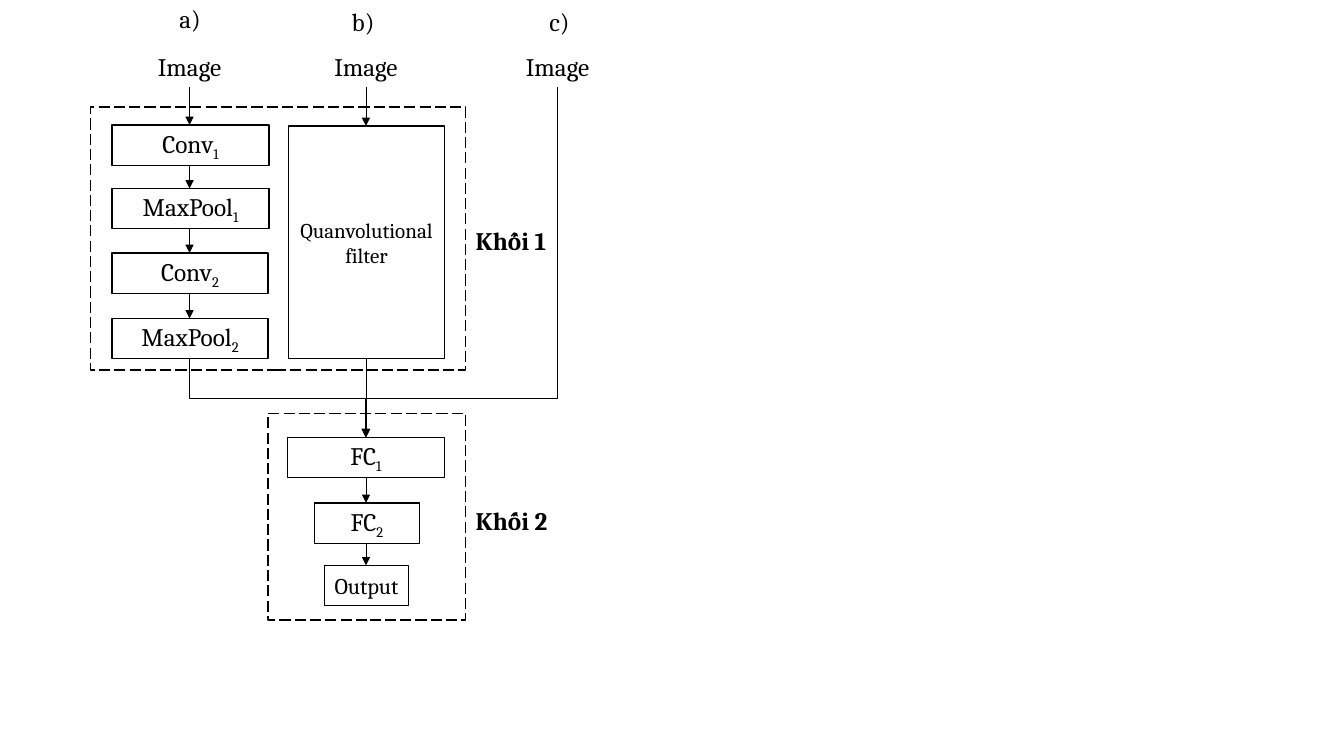
from lxml import etree
from pptx import Presentation
from pptx.dml.color import RGBColor
from pptx.enum import dml, shapes, text
from pptx.oxml import ns
from pptx.util import Inches, Pt

COLORS = {"ink": "000000"}
INK = RGBColor.from_string(COLORS["ink"])
FONT = "Cambria"
ROW = 0.4
COL_A, COL_B, COL_C = 1.88, 3.63, 5.53

deck = Presentation()
deck.slide_width, deck.slide_height = Inches(13.33), Inches(7.5)
page = deck.slides.add_slide(deck.slide_layouts[6])


def add_box(left, top, width, height, words="", subscript="", size=18, bold=False,
            outline=True, dashed=False, align=text.PP_ALIGN.CENTER, anchor=text.MSO_ANCHOR.MIDDLE):
    place = [Inches(length) for length in (left, top, width, height)]
    if outline:
        box = page.shapes.add_shape(shapes.MSO_SHAPE.RECTANGLE, *place)
        box.shadow.inherit = False
        box.fill.background()
        box.line.color.rgb = INK
        box.line.width = Pt(1)
        if dashed:
            box.line.dash_style = dml.MSO_LINE.LONG_DASH
    else:
        box = page.shapes.add_textbox(*place)
    if not words:
        return
    frame = box.text_frame
    frame.word_wrap = True
    frame.vertical_anchor = anchor
    if outline:
        frame.margin_left = frame.margin_right = Inches(0.05)
    para = frame.paragraphs[0]
    para.alignment = align
    para.font.name, para.font.size, para.font.bold = FONT, Pt(size), bold
    para.font.color.rgb = INK
    para.add_run().text = words
    if subscript:
        span = para.add_run()
        span.text = subscript
        span.font._element.set("baseline", "-25000")


def add_arrow(kind, *ends):
    arrow = page.shapes.add_connector(kind, *[Inches(length) for length in ends])
    arrow.line.color.rgb = INK
    arrow.line.width = Pt(0.5)
    etree.SubElement(arrow.line._get_or_add_ln(), ns.qn("a:tailEnd"), type="triangle")
    etree.SubElement(arrow.element.spPr, ns.qn("a:effectLst"))
    return arrow


for left, top, width, height in [(0.9, 1.06, 3.72, 2.61), (2.66, 4.1, 1.96, 2.05)]:
    add_box(left, top, width, height, dashed=True)

for left, top, width, label in [(1.68, -0.02, 0.45, "a)"), (3.39, 0.01, 0.49, "b)"), (5.35, 0.01, 0.68, "c)")]:
    add_box(left, top, width, ROW, label, outline=False,
            align=text.PP_ALIGN.LEFT, anchor=text.MSO_ANCHOR.TOP)

for center in (COL_A, COL_B, COL_C):
    add_box(center - 0.78, 0.46, 1.56, ROW, "Image", outline=False)

layers = [
    (1.11, 1.24, 1.56, "Conv", "1", 18),
    (1.11, 1.87, 1.56, "MaxPool", "1", 18),
    (1.11, 2.51, 1.55, "Conv", "2", 18),
    (1.11, 3.16, 1.55, "MaxPool", "2", 18),
    (2.85, 4.34, 1.56, "FC", "1", 18),
    (3.12, 4.99, 1.04, "FC", "2", 18),
    (3.22, 5.61, 0.83, "Output", "", 16),
]
for left, top, width, name, subscript, size in layers:
    add_box(left, top, width, ROW, name, subscript, size)
add_box(2.86, 1.25, 1.55, 2.31, "Quanvolutional filter", size=15)

for top, label in [(2.19, "Khối 1"), (4.96, "Khối 2")]:
    add_box(4.62, top, 1.49, ROW, label, bold=True, outline=False, align=text.PP_ALIGN.LEFT)

steps = [
    (COL_A, 0.86, 1.24), (COL_A, 1.64, 1.87), (COL_A, 2.27, 2.51), (COL_A, 2.91, 3.16),
    (COL_B, 0.86, 1.25), (COL_B, 3.56, 4.34), (COL_B, 4.74, 4.99), (COL_B, 5.39, 5.61),
]
for center, start, end in steps:
    add_arrow(shapes.MSO_CONNECTOR.STRAIGHT, center, start, center, end)

bends = [
    ((3.14, 3.07, 2.36, 4.82), 270, 0.51),
    ((2.84, 1.65, 6.32, 3.55), 90, 0.89),
]
for ends, turn, bend in bends:
    elbow = add_arrow(shapes.MSO_CONNECTOR.ELBOW, *ends)
    elbow.element.spPr.xfrm.set("rot", str(turn * 60000))
    guides = elbow.element.spPr.find(ns.qn("a:prstGeom")).get_or_add_avLst()
    etree.SubElement(guides, ns.qn("a:gd"), name="adj1", fmla=f"val {round(bend * 100000)}")

deck.save("out.pptx")
